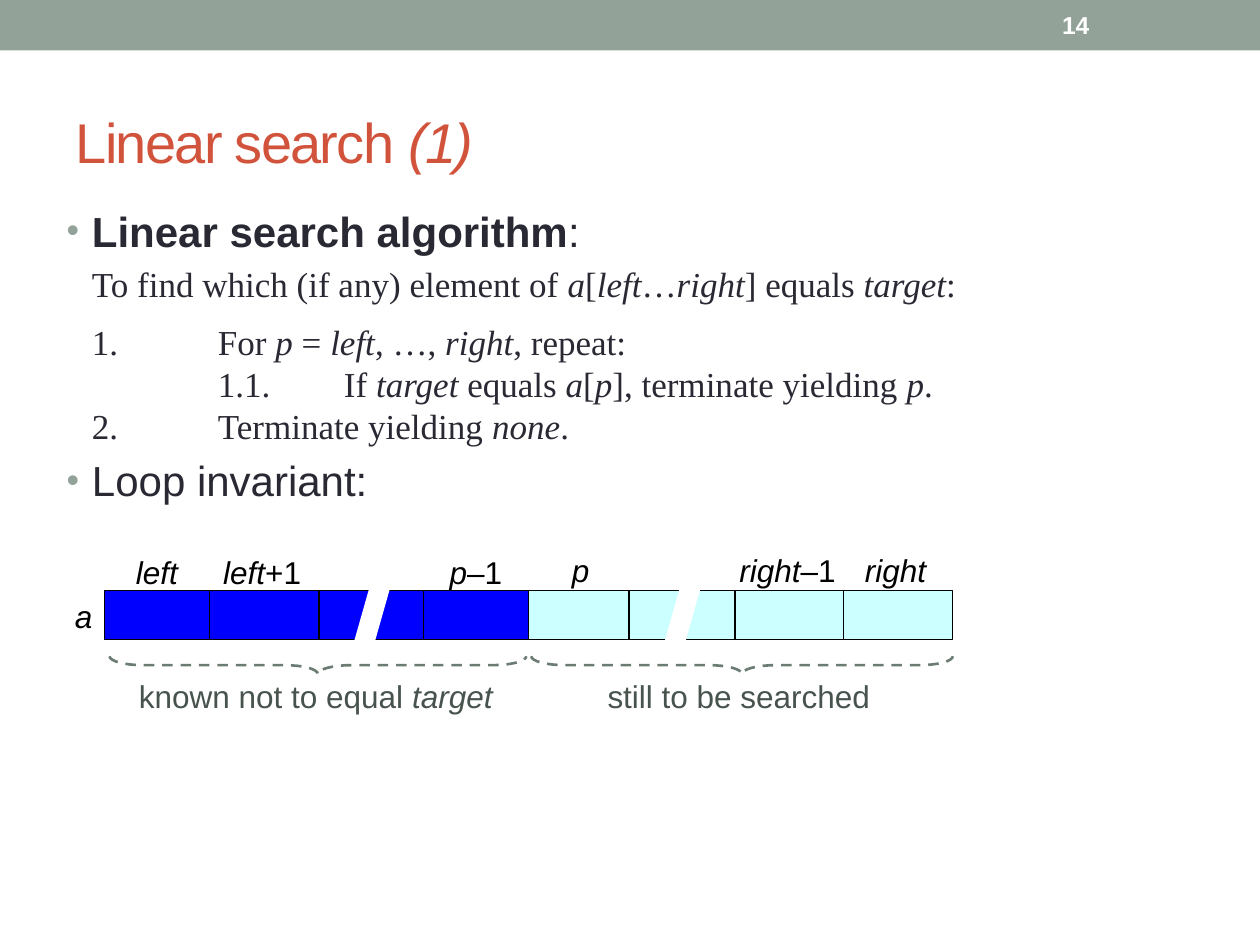
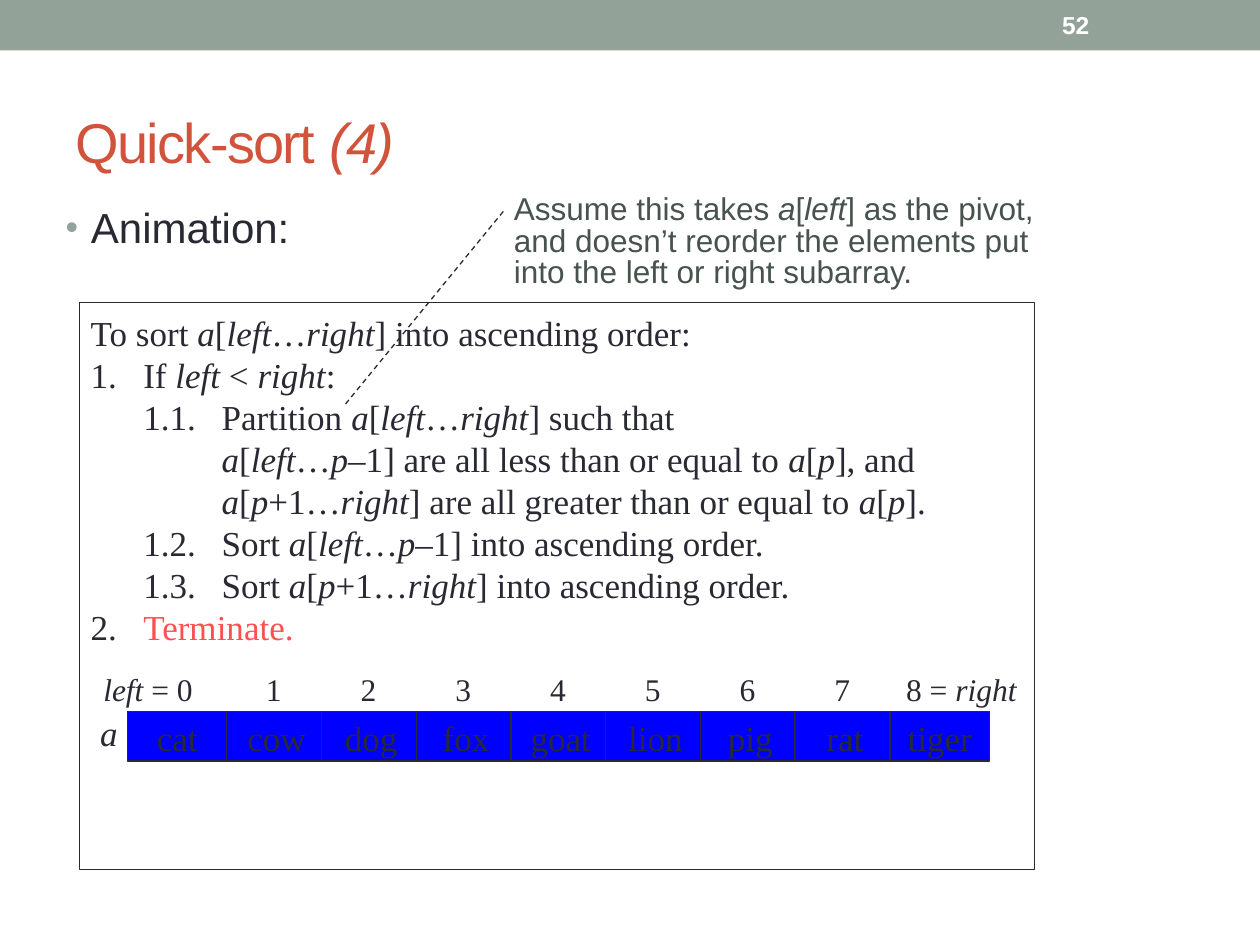
from math import cos, pi, sin

from lxml.etree import SubElement
from pptx import Presentation
from pptx.dml.color import RGBColor
from pptx.enum.dml import MSO_LINE
from pptx.enum.shapes import MSO_SHAPE as SHAPE
from pptx.enum.text import MSO_ANCHOR as ANCHOR, PP_ALIGN as ALIGN
from pptx.oxml.ns import qn
from pptx.util import Cm, Pt

SAGE = RGBColor(0x93, 0xA2, 0x99)
RUST = RGBColor(0xD2, 0x53, 0x3C)
INK = RGBColor(0x29, 0x29, 0x34)
NOTE = RGBColor(0x47, 0x53, 0x4C)
BRACE = RGBColor(0x6B, 0x7D, 0x72)
BLUE = RGBColor(0x00, 0x00, 0xFF)
PALE = RGBColor(0xCC, 0xFF, 0xFF)
RED = RGBColor(0xFF, 0x50, 0x50)
BLACK = RGBColor(0, 0, 0)
WHITE = RGBColor(0xFF, 0xFF, 0xFF)

SANS, SERIF = "Arial", "Times New Roman"
TITLE = dict(name=SANS, size=Pt(32), color=RUST)
HEAD = dict(name=SANS, size=Pt(24), color=INK)
STEPS = dict(name=SERIF, size=Pt(20), color=INK)
INDEX = dict(name=SERIF, size=Pt(18), color=INK)
LABEL = dict(name=SANS, size=Pt(18), color=BLACK)
REMARK = dict(LABEL, color=NOTE)
NUMBER = dict(name=SANS, size=Pt(14), color=WHITE, bold=True)


# Text helpers
def write(p, text, fmt):
    """Add text to p; *stars* mark italics and line ends become breaks."""
    for i, part in enumerate(text.split("*")):
        for j, line in enumerate(part.split("\n")):
            if j:
                p.add_line_break()
                SubElement(p._p[-1], qn("a:rPr"), sz=str(int(fmt["size"].pt * 100)))
            if not line:
                continue
            r = p.add_run()
            r.text = line
            for key, value in fmt.items():
                if key == "color":
                    r.font.color.rgb = value
                else:
                    setattr(r.font, key, value)
            if i % 2:
                r.font.italic = True


def set_frame(tf, inset=(0, 0), anchor=ANCHOR.TOP, wrap=True):
    dx, dy = map(Cm, inset)
    values = dict(margin_left=dx, margin_right=dx, margin_top=dy,
                  margin_bottom=dy, vertical_anchor=anchor, word_wrap=wrap)
    for key, value in values.items():
        setattr(tf, key, value)


def label(s, box, text, fmt, align=ALIGN.CENTER, **frame):
    tf = s.shapes.add_textbox(*map(Cm, box)).text_frame
    set_frame(tf, **frame)
    p = tf.paragraphs[0]
    p.alignment = align
    write(p, text, fmt)
    return p


def set_tabs(p, *stops):
    pPr = p._p.get_or_add_pPr()
    pPr.set("defTabSz", str(Cm(2.54)))
    tabs = SubElement(pPr, qn("a:tabLst"))
    for stop in stops:
        SubElement(tabs, qn("a:tab"), pos=str(Cm(stop)), algn="l")


def set_bullet(p, bullet=True):
    pPr = p._p.get_or_add_pPr()
    pPr.set("marL", str(Cm(0.51)))
    pPr.set("indent", str(-Cm(0.51)))
    if bullet:
        colour = SubElement(pPr, qn("a:buClr"))
        SubElement(colour, qn("a:srgbClr"), val=str(SAGE))
        SubElement(pPr, qn("a:buSzPct"), val="85000")
        SubElement(pPr, qn("a:buChar"), char="•")
    else:
        SubElement(pPr, qn("a:buNone"))


# Shape helpers
def style(sp, fill=None, line=None, width=0.75, dash=None):
    sp.shadow.inherit = False
    if fill is None:
        sp.fill.background()
    else:
        sp.fill.solid()
        sp.fill.fore_color.rgb = fill
    if line is None:
        sp.line.fill.background()
    else:
        sp.line.color.rgb = line
        sp.line.width = Pt(width)
        sp.line.dash_style = dash
    return sp


def rect(s, box, fill, line=None):
    return style(s.shapes.add_shape(SHAPE.RECTANGLE, *map(Cm, box)), fill, line)


def outline(s, points, close):
    start, *rest = [(Cm(x), Cm(y)) for x, y in points]
    builder = s.shapes.build_freeform(*start, scale=1.0)
    builder.add_line_segments(rest, close=close)
    return builder.convert_to_shape()


def brace(s, x, y, w, h):
    """Dashed brace that points down."""
    rx, ry = 0.08 * w, h / 2
    angles = [k * pi / 16 for k in range(9)]
    half = [(rx * (1 - cos(t)), ry * sin(t)) for t in angles]
    half += [(w / 2 - rx + rx * sin(t), h - ry * cos(t)) for t in angles]
    mirrored = [(w - dx, dy) for dx, dy in reversed(half[:-1])]
    sp = outline(s, [(x + dx, y + dy) for dx, dy in half + mirrored], False)
    style(sp, line=BRACE, width=1.5, dash=MSO_LINE.DASH)


def slash(s, x, y, w, h):
    """White cut that marks omitted elements."""
    points = [(x + w / 2, y), (x + w, y), (x + w / 2, y + h), (x, y + h)]
    style(outline(s, points, True), WHITE)


# Shared slide parts
def place(sp, box):
    for key, value in zip(("left", "top", "width", "height"), box):
        setattr(sp, key, Cm(value))


def add_band(prs, s):
    """Put the top band on the master, behind everything."""
    band = rect(s, (0, 0, 25.4, 1.02), SAGE)
    prs.slide_master.element.cSld.spTree.insert(2, band.element)


def new_slide(prs, title, number, body_box):
    s = prs.slides.add_slide(prs.slide_layouts[1])
    place(s.shapes.title, (1.27, 1.47, 22.86, 2.74))
    tf = s.shapes.title.text_frame
    tf.vertical_anchor = ANCHOR.MIDDLE
    p = tf.paragraphs[0]
    p.alignment = ALIGN.LEFT
    write(p, title, TITLE)
    for r in p.runs:
        r.font._element.set("spc", "-100")
    label(s, (21.16, 0.05, 2.97, 0.91), number, NUMBER, ALIGN.LEFT,
          inset=(0.25, 0.13), anchor=ANCHOR.MIDDLE)
    body = s.placeholders[1]
    place(body, body_box)
    return s, body.text_frame


# Linear search
def invariant_diagram(s, x, y):
    offsets = (0, 2.12, 4.32, 6.43, 8.54, 10.57, 12.71, 14.89)
    names = ("*left*", "*left*+1", "", "*p*–1", "*p*", "", "*right*–1", "*right*")
    known = 4
    for i, (dx, name) in enumerate(zip(offsets, names)):
        rect(s, (x + dx, y, 2.2, 0.99), BLUE if i < known else PALE, BLACK)
        if name:
            rise = 0.76 if i < known else 0.81
            label(s, (x + dx, y - rise, 2.11, 0.76), name, LABEL)
    label(s, (x - 0.6, y + 0.13, 0.36, 0.76), "*a*", LABEL, ALIGN.LEFT, wrap=False)
    for dx in (4.95, 11.21):
        slash(s, x + dx, y - 0.18, 0.84, 1.48)
    for dx, w in ((0.1, 8.4), (8.6, 8.5)):
        brace(s, x + dx, y + 1.32, w, 0.36)
    label(s, (x + 0.28, y + 1.73, 7.95, 0.76), "known not to equal *target*", REMARK)
    label(s, (x + 8.76, y + 1.73, 8.05, 0.76), "still to be searched", REMARK)


def linear_search(prs):
    s, tf = new_slide(prs, "Linear search *(1)*", "14", (1.09, 4.01, 21.16, 13.34))
    p = tf.paragraphs[0]
    write(p, "Linear search algorithm", dict(HEAD, bold=True))
    write(p, ":", HEAD)
    write(tf.add_paragraph(), "\tTo find which (if any) element of "
          "*a*[*left*…*right*] equals *target*:", STEPS)
    p = tf.add_paragraph()
    p.space_before = Pt(9)
    write(p, "\t1.\tFor *p* = *left*, …, *right*, repeat:\n"
          "\t1.1.\tIf *target* equals *a*[*p*], terminate yielding *p*.\n"
          "2.\tTerminate yielding *none*.", STEPS)
    write(tf.add_paragraph(), "Loop invariant:", HEAD)
    for p, bullet in zip(tf.paragraphs, (True, False, False, True)):
        set_bullet(p, bullet)
        set_tabs(p, 2, 3.5)
    invariant_diagram(s, 2.11, 11.91)
    return s


# Quick-sort
def sorted_array(s, x, y):
    words = "cat cow dog fox goat lion pig rat tiger".split()
    pitch, last = 1.91, len(words) - 1
    for i, word in enumerate(words):
        dx = 2 + pitch * (i - 1) if i else 0
        sp = rect(s, (x + dx, y, 2.01, 0.99), BLUE, INK)
        set_frame(sp.text_frame, inset=(0.13, 0.1), wrap=False)
        p = sp.text_frame.paragraphs[0]
        p.alignment = ALIGN.CENTER
        write(p, word, STEPS)
        if 0 < i < last:
            label(s, (x + dx + 0.53, y - 0.84, 0.84, 0.76), str(i), INDEX)
    label(s, (x - 0.64, y - 0.84, 2.11, 0.76), "*left *= 0", INDEX)
    label(s, (x + 15.44, y - 0.84, 2.74, 0.76), f"{last} = *right*", INDEX)
    label(s, (x - 0.84, y, 0.64, 0.84), "*a*", STEPS, ALIGN.RIGHT, wrap=False)


def algorithm_panel(s, x, y, w, h):
    rect(s, (x, y, w, h), WHITE, INK)
    p = label(s, (x + 0.23, y + 0.18, 17.15, 6.78),
              "To sort *a*[*left*…*right*] into ascending order:\n"
              "1.\tIf *left* < *right*:\n"
              "\t1.1.\tPartition *a*[*left*…*right*] such that \n"
              "\t\t*a*[*left*…*p*–1] are all less than or equal to *a*[*p*], and \n"
              "\t\t*a*[*p*+1…*right*] are all greater than or equal to *a*[*p*].\n"
              "\t1.2.\tSort *a*[*left*…*p*–1] into ascending order.\n"
              "\t1.3.\tSort *a*[*p*+1…*right*] into ascending order.\n"
              "2.\t", STEPS, ALIGN.LEFT)
    write(p, "Terminate.", dict(STEPS, color=RED))
    set_tabs(p, 1.06, 2.64)
    sorted_array(s, x + 0.97, y + 8.25)


def pivot_note(s, box):
    sp = s.shapes.add_shape(SHAPE.LINE_CALLOUT_1_NO_BORDER, *map(Cm, box))
    style(sp, line=INK, dash=MSO_LINE.DASH)
    for i, value in enumerate((0.17, -0.02, 2.23, -0.32)):
        sp.adjustments[i] = value
    set_frame(sp.text_frame)
    p = sp.text_frame.paragraphs[0]
    p.alignment = ALIGN.LEFT
    p.line_spacing = Pt(18)
    write(p, "Assume this takes *a*[*left*] as the pivot, and doesn’t reorder "
          "the elements put into the left or right subarray.", REMARK)


def quick_sort(prs):
    s, tf = new_slide(prs, "Quick-sort *(4)*", "52", (1.07, 3.94, 21.16, 13.34))
    p = tf.paragraphs[0]
    write(p, "Animation:", HEAD)
    set_bullet(p)
    algorithm_panel(s, 1.6, 6.1, 19.25, 11.43)
    pivot_note(s, (10.36, 3.94, 10.69, 1.9))


def main():
    prs = Presentation()
    prs.slide_width, prs.slide_height = Cm(25.4), Cm(19.05)
    add_band(prs, linear_search(prs))
    quick_sort(prs)
    prs.save("out.pptx")


if __name__ == "__main__":
    main()
